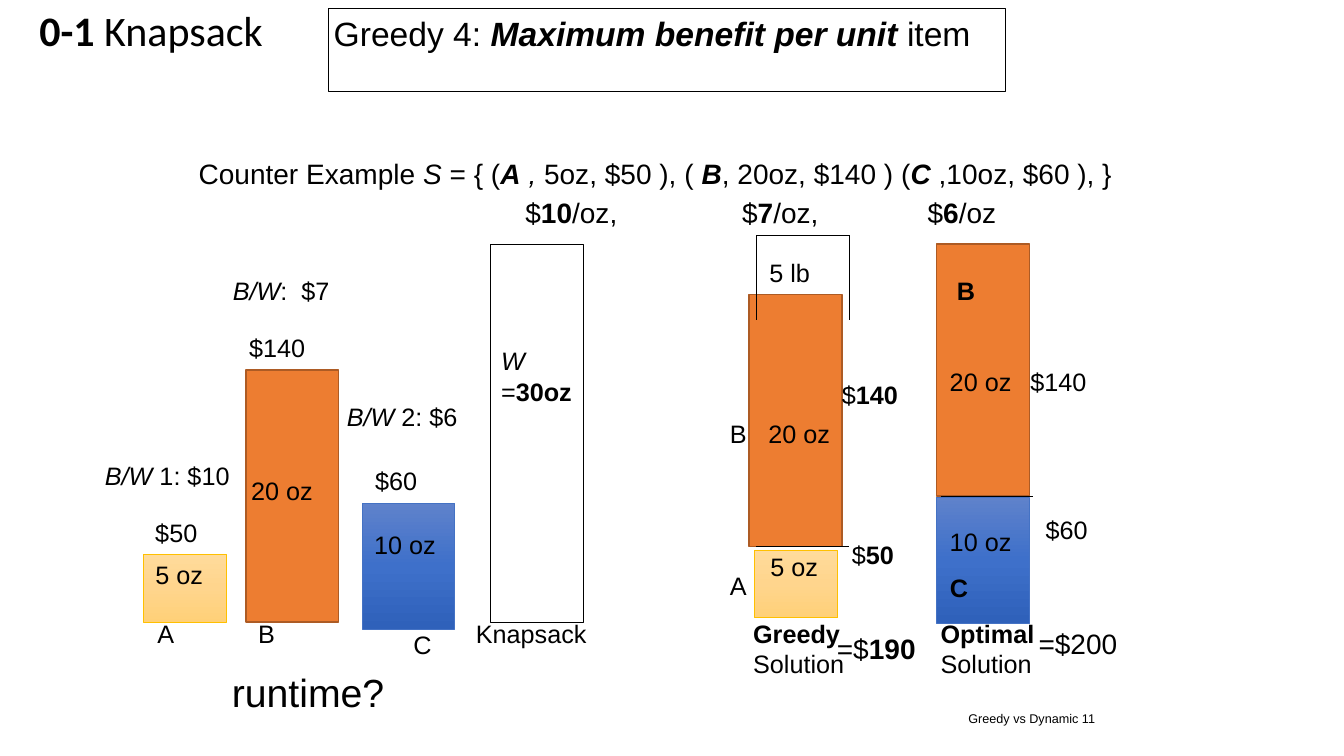
from copy import deepcopy
from dataclasses import dataclass
from typing import Optional

from lxml.etree import SubElement
from pptx import Presentation
from pptx.dml.color import RGBColor
from pptx.enum.shapes import MSO_CONNECTOR, MSO_SHAPE
from pptx.enum.text import MSO_ANCHOR, MSO_AUTO_SIZE, PP_ALIGN
from pptx.oxml.ns import qn
from pptx.util import Inches, Pt


@dataclass(frozen=True)
class Theme:
    font: str = "Arial"
    heading_font: str = "Calibri"
    ink: str = "000000"
    orange: tuple = ("ED7D31",)
    orange_edge: str = "AD5B24"
    blue: tuple = ("5F82CB", "3E70CA", "2F61BA")
    blue_edge: str = "4472C4"
    yellow: tuple = ("FFDB9B", "FFD58D", "FFD078")
    yellow_edge: str = "FFC000"
    hairline: float = 0.25
    footer: float = 9
    label: float = 18
    body: float = 20
    title: float = 24
    question: float = 28
    heading: float = 30


THEME = Theme()


@dataclass(frozen=True)
class Item:
    width: float
    height: float
    colors: tuple
    edge: str
    edge_width: float


@dataclass(frozen=True)
class Label:
    """Text marks: *bold* and _italic_; a line feed starts a paragraph."""
    left: float
    top: float
    width: float
    text: str
    size: float = THEME.label
    height: float = 0.38
    font: str = THEME.font
    wrap: bool = False
    grow: bool = True
    align: PP_ALIGN = PP_ALIGN.LEFT
    space_before: float = 0
    outline: Optional[str] = None
    tabs: tuple = ()


ITEM_A = Item(0.83, 0.67, THEME.yellow, THEME.yellow_edge, 0.5)
ITEM_B = Item(0.92, 2.5, THEME.orange, THEME.orange_edge, 1)
ITEM_C = Item(0.92, 1.25, THEME.blue, THEME.blue_edge, 0.5)
KNAPSACK = Item(0.92, 3.75, (), THEME.ink, THEME.hairline)

BARS = [
    (ITEM_A, 1.42, 5.5), (ITEM_B, 2.44, 3.67), (ITEM_C, 3.59, 4.99), (KNAPSACK, 4.86, 2.42),
    (ITEM_B, 7.43, 2.92), (ITEM_A, 7.48, 5.46),
    (ITEM_B, 9.29, 2.42), (ITEM_C, 9.29, 4.93),
]

GAP_LEFT, GAP_RIGHT, GAP_TOP, GAP_BOTTOM = 7.5, 8.42, 2.33, 3.17
EDGES = [
    (GAP_LEFT, 5.42, GAP_RIGHT, 5.42),
    (GAP_LEFT, GAP_TOP, GAP_RIGHT, GAP_TOP),
    (GAP_LEFT, GAP_BOTTOM, GAP_LEFT, GAP_TOP),
    (GAP_RIGHT, GAP_BOTTOM, GAP_RIGHT, GAP_TOP),
    (9.33, 4.92, 10.25, 4.92),
]

EXAMPLE = (
    "Counter Example _S_ = { (*_A_* _,_ 5oz, $50 ), ( *_B_*, 20oz, $140 ) (*_C_* ,10oz, $60 ), }\n"
    "\t$*10*/oz,\t$*7*/oz,\t$*6*/oz"
)

LABELS = [
    Label(0.34, 0, 2.33, "*0-1* Knapsack", THEME.heading, 0.61, THEME.heading_font),
    Label(3.26, 0.08, 6.71, "Greedy 4: *_Maximum benefit per unit_* item", THEME.title, 0.83,
          wrap=True, grow=False, outline=THEME.ink),
    Label(1.92, 1.5, 9.38, EXAMPLE, THEME.body, 1, wrap=True, grow=False,
          space_before=4, tabs=(3.24, 5.39, 7.23)),
    # Items to choose from
    Label(0.99, 4.52, 1.35, "_B/W _1: $10"),
    Label(1.49, 5.08, 0.53, "$50"),
    Label(1.49, 5.5, 0.59, "5 oz"),
    Label(1.51, 6.08, 0.28, "A"),
    Label(2.26, 2.68, 1.07, "_B/W_:  $7"),
    Label(2.42, 3.25, 0.67, "$140"),
    Label(2.44, 4.67, 0.73, "20 oz"),
    Label(2.51, 6.08, 0.28, "B"),
    Label(3.39, 3.93, 1.21, "_B/W_ 2: $6"),
    Label(3.67, 4.57, 0.53, "$60"),
    Label(3.66, 5.2, 0.73, "10 oz"),
    Label(4.05, 6.19, 0.29, "C"),
    Label(4.92, 3.38, 1.04, "_W _=*30oz*", height=0.68, wrap=True),
    Label(4.67, 6.08, 1.21, "Knapsack"),
    # Greedy solution
    Label(7.58, 2.5, 0.52, "5 lb"),
    Label(7.19, 4.1, 0.28, "B"),
    Label(7.57, 4.1, 0.73, "20 oz"),
    Label(8.3, 3.71, 0.67, "$*140*"),
    Label(7.19, 5.61, 0.28, "A"),
    Label(7.59, 5.42, 0.59, "5 oz"),
    Label(8.4, 5.3, 0.53, "$*50*"),
    Label(7.42, 6.08, 1.02, "*Greedy*\nSolution", height=0.68),
    Label(8.25, 6.22, 0.89, "=$*190*", THEME.body, 0.41),
    # Optimal solution
    Label(9.44, 2.68, 0.29, "*B*"),
    Label(9.37, 3.58, 0.73, "20 oz"),
    Label(10.17, 3.58, 0.67, "$140"),
    Label(9.37, 5.17, 0.73, "10 oz"),
    Label(10.32, 5.05, 0.53, "$60"),
    Label(9.37, 5.63, 0.29, "*C*"),
    Label(9.28, 6.08, 1.04, "*Optimal*\nSolution", height=0.68),
    Label(10.25, 6.17, 0.89, "=$200", THEME.body, 0.41),
    Label(2.25, 6.58, 1.63, "runtime?", THEME.question, 0.53),
    Label(8.83, 7, 2.08, "Greedy vs Dynamic 11", THEME.footer, 0.23,
          wrap=True, align=PP_ALIGN.RIGHT),
]


def rgb(color: str) -> RGBColor:
    return RGBColor.from_string(color)


def set_line(line, color: str, width: float) -> None:
    line.color.rgb = rgb(color)
    line.width = Pt(width)


def fill_bar(bar, colors: tuple) -> None:
    """No colour leaves the bar empty, one is solid, three run top to bottom."""
    if not colors:
        bar.fill.background()
    elif len(colors) == 1:
        bar.fill.solid()
        bar.fill.fore_color.rgb = rgb(colors[0])
    else:
        bar.fill.gradient()
        bar.fill.gradient_angle = 270
        first = bar.fill.gradient_stops[0]
        stop_list = bar._element.spPr.find(qn("a:gradFill")).find(qn("a:gsLst"))
        stop_list.insert(1, deepcopy(stop_list[0]))
        for index, (stop, color) in enumerate(zip(bar.fill.gradient_stops, colors)):
            stop.color.rgb = rgb(color)
            stop.position = index / (len(colors) - 1)


def draw_bar(page, item: Item, left: float, top: float) -> None:
    bar = page.shapes.add_shape(MSO_SHAPE.RECTANGLE, Inches(left), Inches(top),
                                Inches(item.width), Inches(item.height))
    bar.shadow.inherit = False
    fill_bar(bar, item.colors)
    set_line(bar.line, item.edge, item.edge_width)


def draw_edge(page, *ends: float) -> None:
    edge = page.shapes.add_connector(MSO_CONNECTOR.STRAIGHT, *map(Inches, ends))
    set_line(edge.line, THEME.ink, THEME.hairline)
    SubElement(edge._element.spPr, qn("a:effectLst"))


def add_spans(para, text: str, label: Label) -> None:
    for bold_index, part in enumerate(text.split("*")):
        for italic_index, words in enumerate(part.split("_")):
            if not words:
                continue
            span = para.add_run()
            span.text = words
            formats = {"name": label.font, "size": Pt(label.size),
                       "bold": bold_index % 2 == 1, "italic": italic_index % 2 == 1}
            for name, value in formats.items():
                setattr(span.font, name, value)
            span.font.color.rgb = rgb(THEME.ink)


def draw_label(page, label: Label) -> None:
    box = page.shapes.add_textbox(Inches(label.left), Inches(label.top),
                                  Inches(label.width), Inches(label.height))
    if label.outline:
        set_line(box.line, label.outline, THEME.hairline)
    frame = box.text_frame
    formats = {"word_wrap": label.wrap, "vertical_anchor": MSO_ANCHOR.TOP,
               "auto_size": MSO_AUTO_SIZE.SHAPE_TO_FIT_TEXT if label.grow else MSO_AUTO_SIZE.NONE}
    formats |= {f"margin_{side}": Inches(0.05) for side in ("left", "top", "right", "bottom")}
    for name, value in formats.items():
        setattr(frame, name, value)
    for index, text in enumerate(label.text.split("\n")):
        para = frame.add_paragraph() if index else frame.paragraphs[0]
        para.alignment = label.align
        para.space_before = Pt(label.space_before)
        if label.tabs:
            tab_list = SubElement(para._p.get_or_add_pPr(), qn("a:tabLst"))
            for stop in label.tabs:
                SubElement(tab_list, qn("a:tab"), pos=str(Inches(stop)), algn="l")
        add_spans(para, text, label)


def main() -> None:
    deck = Presentation()
    deck.slide_width, deck.slide_height = Inches(13.33), Inches(7.5)
    page = deck.slides.add_slide(deck.slide_layouts[6])
    for bar in BARS:
        draw_bar(page, *bar)
    for edge in EDGES:
        draw_edge(page, *edge)
    for label in LABELS:
        draw_label(page, label)
    deck.save("out.pptx")


if __name__ == "__main__":
    main()
